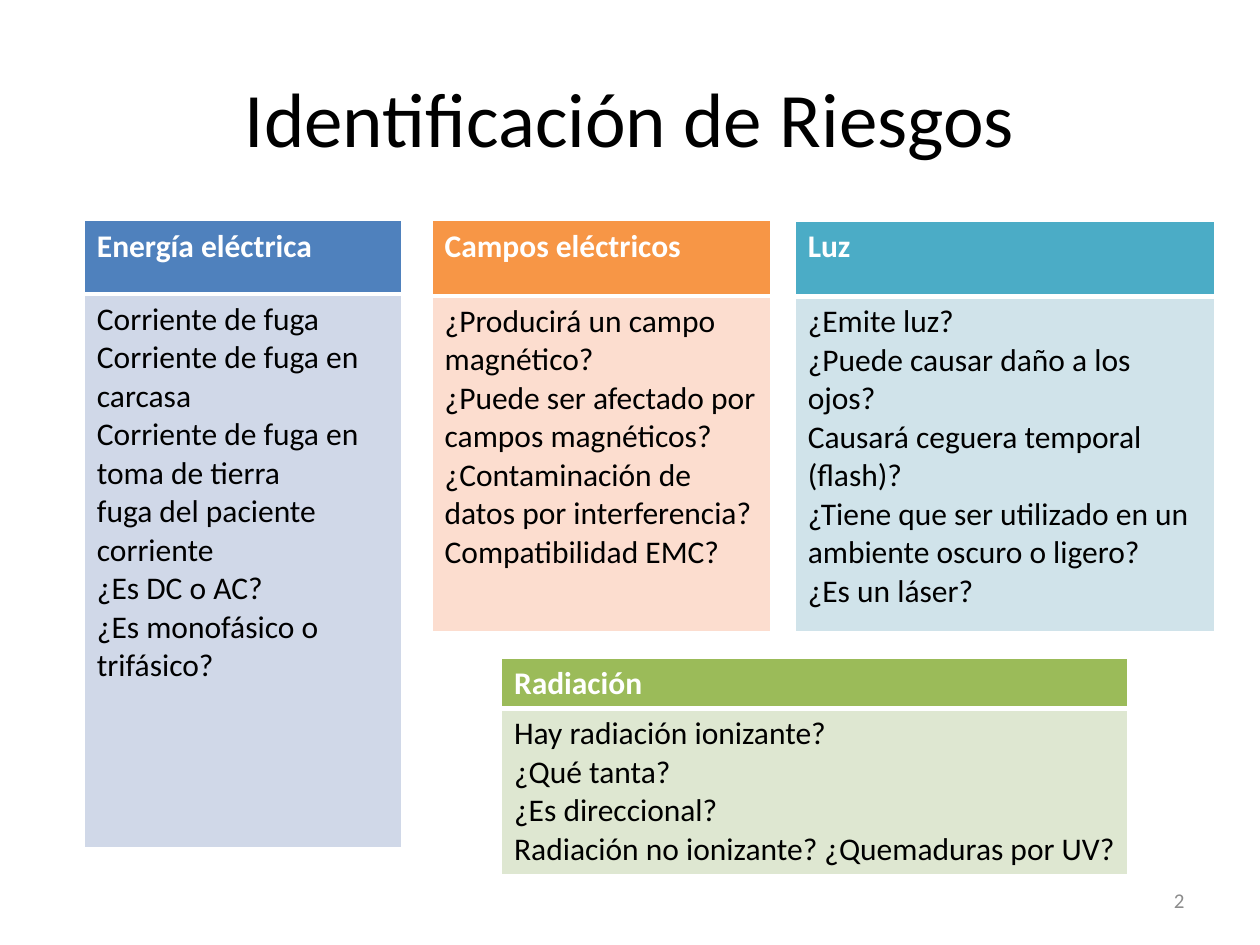
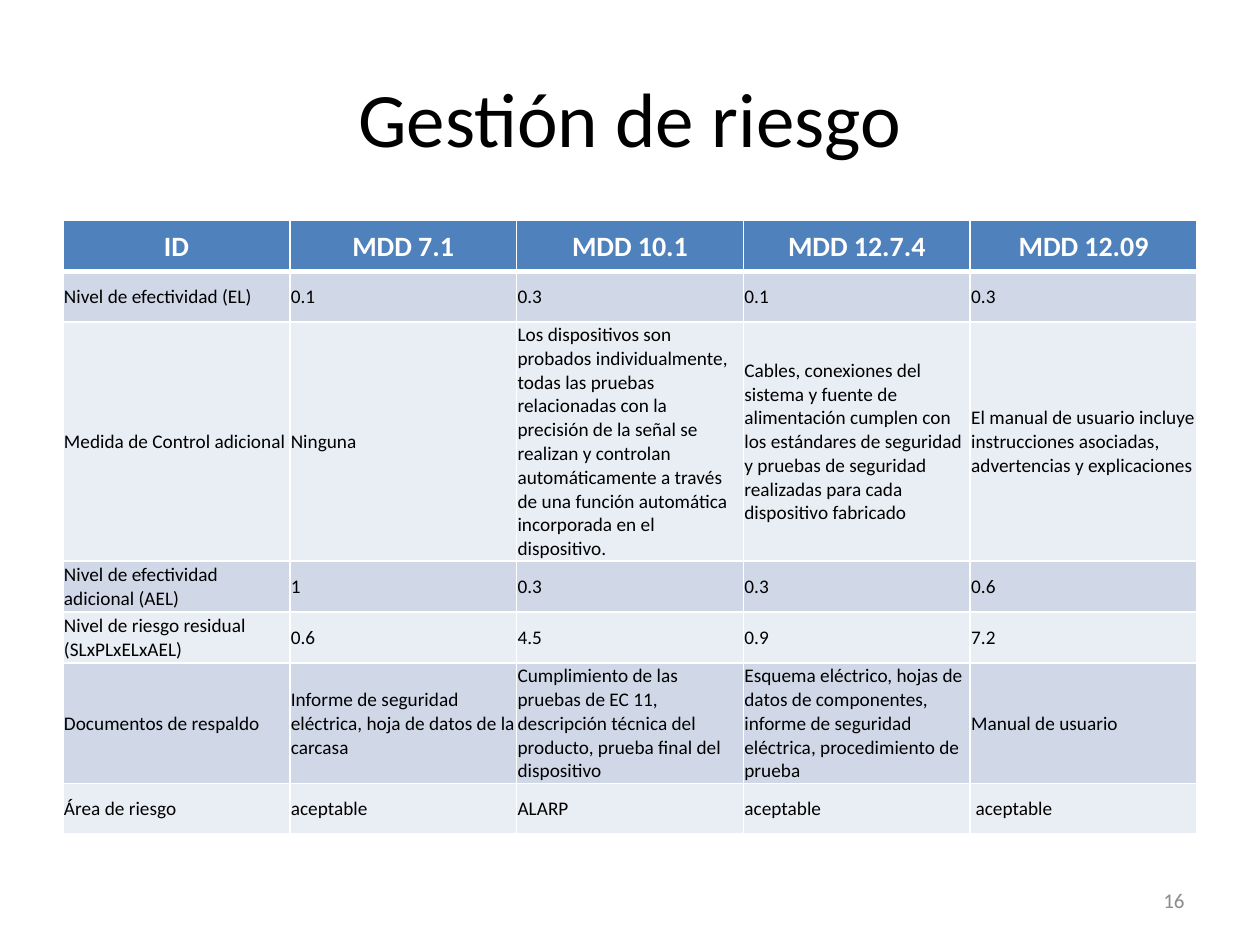
from dataclasses import dataclass

from lxml import etree
from pptx import Presentation
from pptx.dml.color import RGBColor
from pptx.enum.text import MSO_ANCHOR, PP_ALIGN
from pptx.oxml.ns import qn
from pptx.util import Cm, Pt

LEFT, CENTER, RIGHT = PP_ALIGN.LEFT, PP_ALIGN.CENTER, PP_ALIGN.RIGHT
TOP, MIDDLE = MSO_ANCHOR.TOP, MSO_ANCHOR.MIDDLE


@dataclass(frozen=True)
class Theme:
    font: str = "Calibri"
    black: str = "000000"
    white: str = "FFFFFF"
    gray: str = "8C8C8C"
    blue: str = "4F81BD"
    blue_tint: str = "D0D8E8"
    blue_pale: str = "E9EDF4"
    orange: str = "F79646"
    orange_tint: str = "FCDDCF"
    teal: str = "4BACC6"
    teal_tint: str = "D0E3EA"
    green: str = "9BBB59"
    green_tint: str = "DEE7D1"
    title_size: int = 44
    card_size: int = 18
    header_size: int = 16
    body_size: int = 11
    number_size: int = 12
    thin: int = 1
    thick: int = 3


T = Theme()
MARGIN, CONTENT_W, TABLE_TOP = 1.27, 22.86, 4.45

# Risk cards: left, top, width, row heights, header fill, body fill, heading, lines
CARDS = [
    (1.7, 4.45, 6.4, (1.48, 11.16), T.blue, T.blue_tint, "Energía eléctrica",
     ["Corriente de fuga", "Corriente de fuga en carcasa",
      "Corriente de fuga en toma de tierra", "fuga del paciente", "corriente",
      "¿Es DC o AC?", "¿Es monofásico o trifásico?"]),
    (8.71, 4.45, 6.83, (1.52, 6.76), T.orange, T.orange_tint, "Campos eléctricos",
     ["¿Producirá un campo magnético?",
      "¿Puede ser afectado por campos magnéticos?",
      "¿Contaminación de datos por interferencia?", "Compatibilidad EMC?"]),
    (16.03, 4.46, 8.46, (1.52, 6.76), T.teal, T.teal_tint, "Luz",
     ["¿Emite luz?", "¿Puede causar daño a los ojos?",
      "Causará ceguera temporal (flash)?",
      "¿Tiene que ser utilizado en un ambiente oscuro o ligero?",
      "¿Es un láser?"]),
    (10.11, 13.26, 12.63, (1.02, 3.35), T.green, T.green_tint, "Radiación",
     ["Hay radiación ionizante?", "¿Qué tanta?", "¿Es direccional?",
      "Radiación no ionizante? ¿Quemaduras por UV?"]),
]

RISK_ROWS = [
    ["ID", "MDD 7.1", "MDD 10.1", "MDD 12.7.4", "MDD 12.09"],
    ["Nivel de efectividad (EL)", "0.1", "0.3", "0.1", "0.3"],
    ["Medida de Control adicional", "Ninguna",
     "Los dispositivos son probados individualmente, todas las pruebas "
     "relacionadas con la precisión de la señal se realizan y controlan "
     "automáticamente a través de una función automática incorporada en el "
     "dispositivo.",
     "Cables, conexiones del sistema y fuente de alimentación cumplen con los "
     "estándares de seguridad y pruebas de seguridad realizadas para cada "
     "dispositivo fabricado",
     "El manual de usuario incluye instrucciones asociadas, advertencias y "
     "explicaciones"],
    ["Nivel de efectividad adicional (AEL)", "1", "0.3", "0.3", "0.6"],
    ["Nivel de riesgo residual (SLxPLxELxAEL)", "0.6", "4.5", "0.9", "7.2"],
    ["Documentos de respaldo",
     "Informe de seguridad eléctrica, hoja de datos de la carcasa",
     "Cumplimiento de las pruebas de EC 11, descripción técnica del producto, "
     "prueba final del dispositivo",
     "Esquema eléctrico, hojas de datos de componentes, informe de seguridad "
     "eléctrica, procedimiento de prueba",
     "Manual de usuario"],
    ["Área de riesgo", "aceptable", "ALARP", "aceptable", " aceptable"],
]
RISK_HEIGHTS = [1.02, 1.02, 4.82, 1.03, 1.03, 2.42, 1.02]


def write(tf, lines, *, size, color=T.black, bold=False, align=LEFT):
    """Fill a text frame with one paragraph per line."""
    for i, line in enumerate(lines):
        p = tf.paragraphs[0] if i == 0 else tf.add_paragraph()
        p.alignment = align
        r = p.add_run()
        r.text = line
        r.font.name, r.font.size, r.font.bold = T.font, Pt(size), bold
        r.font.color.rgb = RGBColor.from_string(color)


def add_text(slide, text, left, top, width, height, **fmt):
    tf = slide.shapes.add_textbox(Cm(left), Cm(top), Cm(width), Cm(height)).text_frame
    tf.word_wrap = True
    tf.vertical_anchor = MIDDLE
    write(tf, [text], **fmt)


def set_borders(cell, top, bottom):
    tc_pr = cell._tc.get_or_add_tcPr()
    for side, width in (("L", T.thin), ("R", T.thin), ("T", top), ("B", bottom)):
        ln = etree.SubElement(tc_pr, qn(f"a:ln{side}"), w=str(Pt(width)))
        fill = etree.SubElement(ln, qn("a:solidFill"))
        etree.SubElement(fill, qn("a:srgbClr"), val=T.white)


def add_grid(slide, left, top, width, heights, n_cols):
    """Add a table of equal columns with a thick rule below its header."""
    tbl = slide.shapes.add_table(len(heights), n_cols, Cm(left), Cm(top),
                                 Cm(width), Cm(sum(heights))).table
    for i, height in enumerate(heights):
        tbl.rows[i].height = Cm(height)
        for cell in tbl.rows[i].cells:
            set_borders(cell, T.thick if i == 1 else T.thin,
                        T.thick if i == 0 else T.thin)
    return tbl


def fill_cell(cell, lines, fill, *, anchor=TOP, inset=None, **fmt):
    cell.fill.solid()
    cell.fill.fore_color.rgb = RGBColor.from_string(fill)
    cell.vertical_anchor = anchor
    if inset is not None:
        cell.margin_left = cell.margin_right = cell.margin_top = Cm(inset)
        cell.margin_bottom = 0
    write(cell.text_frame, lines, **fmt)


def add_card(slide, left, top, width, heights, head_fill, body_fill, heading, lines):
    tbl = add_grid(slide, left, top, width, heights, 1)
    fill_cell(tbl.cell(0, 0), [heading], head_fill,
              size=T.card_size, color=T.white, bold=True)
    fill_cell(tbl.cell(1, 0), lines, body_fill, size=T.card_size)


def add_risk_table(slide):
    tbl = add_grid(slide, MARGIN, TABLE_TOP, CONTENT_W, RISK_HEIGHTS,
                   len(RISK_ROWS[0]))
    header = dict(size=T.header_size, color=T.white, bold=True, align=CENTER)
    for i, row in enumerate(RISK_ROWS):
        band = T.blue_tint if i % 2 else T.blue_pale
        fill, fmt = (band, dict(size=T.body_size)) if i else (T.blue, header)
        for j, value in enumerate(row):
            fill_cell(tbl.cell(i, j), [value], fill, anchor=MIDDLE, inset=0.02, **fmt)


def add_slide(prs, title, number):
    """Add a blank slide with the shared title and page number."""
    slide = prs.slides.add_slide(prs.slide_layouts[6])
    add_text(slide, title, MARGIN, 0.76, CONTENT_W, 3.18,
             size=T.title_size, align=CENTER)
    add_text(slide, str(number), 18.2, 17.65, 5.93, 1.01,
             size=T.number_size, color=T.gray, align=RIGHT)
    return slide


def main():
    prs = Presentation()
    prs.slide_width, prs.slide_height = Cm(25.4), Cm(19.05)

    # Risk identification
    slide = add_slide(prs, "Identificación de Riesgos", 2)
    for card in CARDS:
        add_card(slide, *card)

    # Risk management
    add_risk_table(add_slide(prs, "Gestión de riesgo", 16))

    prs.save("out.pptx")


if __name__ == "__main__":
    main()
